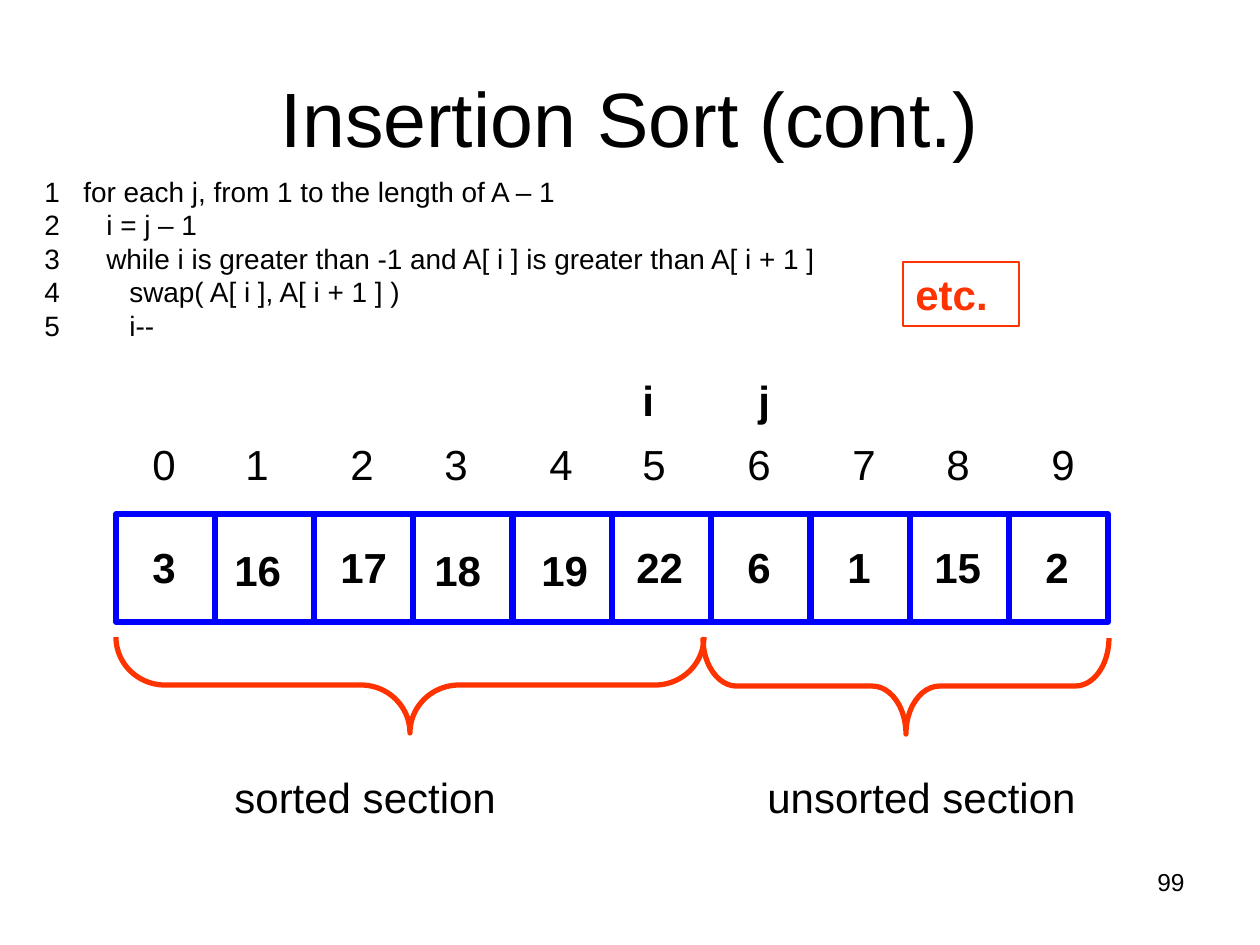
import dataclasses
import typing

import lxml.etree
import pptx
import pptx.dml.color
import pptx.enum.shapes
import pptx.enum.text
import pptx.oxml.ns
import pptx.util

SCALE = 914400 / 126  # EMU in one px
BLACK, WHITE, BLUE, RED = "000000", "FFFFFF", "0000FF", "FF3300"
Shape = pptx.enum.shapes.MSO_SHAPE
Align = pptx.enum.text.PP_ALIGN
Anchor = pptx.enum.text.MSO_ANCHOR


class Box(typing.NamedTuple):
    left: int
    top: int
    width: int
    height: int


class Line(typing.NamedTuple):
    text: str
    tabs: tuple[int, ...] = ()
    indent: int = 0


class Cell(typing.NamedTuple):
    value: str
    dx: int = 0
    dy: int = 0


@dataclasses.dataclass
class Font:
    size: int = 24
    bold: bool = False
    color: str = BLACK


class Brace(typing.NamedTuple):
    box: Box
    curve: float
    label: str
    place: Box


def emu(px: int) -> int:
    return round(px * SCALE)


def rgb(code: str) -> pptx.dml.color.RGBColor:
    return pptx.dml.color.RGBColor.from_string(code)


def write(shape, lines: list[Line], font: Font, align=Align.LEFT, anchor=Anchor.TOP) -> None:
    frame = shape.text_frame
    frame.word_wrap = True
    frame.vertical_anchor = anchor
    for n, line in enumerate(lines):
        para = frame.add_paragraph() if n else frame.paragraphs[0]
        para.alignment = align
        props = para._p.get_or_add_pPr()
        if line.indent:
            props.set("marL", str(emu(line.indent)))
            props.set("indent", "0")
        if line.tabs:
            stops = lxml.etree.SubElement(props, pptx.oxml.ns.qn("a:tabLst"))
            for stop in line.tabs:
                lxml.etree.SubElement(stops, pptx.oxml.ns.qn("a:tab"), pos=str(emu(stop)), algn="l")
        run = para.add_run()
        run.text = line.text
        run.font.name = "Arial"
        run.font.size = pptx.util.Pt(font.size)
        run.font.bold = font.bold
        run.font.color.rgb = rgb(font.color)


def label(slide, box: Box, lines: list[Line], font: Font, **place) -> None:
    write(slide.shapes.add_textbox(*map(emu, box)), lines, font, **place)


def draw(slide, kind, box: Box, color: str, weight: float, fill: str = ""):
    shape = slide.shapes.add_shape(kind, *map(emu, box))
    shape.shadow.inherit = False
    if fill:
        shape.fill.solid()
        shape.fill.fore_color.rgb = rgb(fill)
    else:
        shape.fill.background()
    shape.line.color.rgb = rgb(color)
    shape.line.width = pptx.util.Pt(weight)
    return shape


CODE = [  # nesting level and statement
    (0, "for each j, from 1 to the length of A – 1"),
    (1, "i = j – 1"),
    (1, "while i is greater than -1 and A[ i ] is greater than A[ i + 1 ]"),
    (2, "swap( A[ i ], A[ i + 1 ] )"),
    (2, "i--"),
]
STOPS = (35, 128, 233, 327, 432, 525, 630, 735, 829, 934)
CELLS = [
    Cell("3"), Cell("16", -5, 3), Cell("17", 2), Cell("18", -3, 3), Cell("19", 4, 3),
    Cell("22"), Cell("6"), Cell("1"), Cell("15"), Cell("2"),
]
LEFT, SPAN = 116, 993
BRACES = [
    Brace(Box(362, 391, 96, 588), 0.51, "sorted section", Box(222, 765, 324, 96)),
    Brace(Box(858, 483, 96, 406), 0.35, "unsorted section", Box(755, 765, 348, 96)),
]


def main() -> None:
    deck = pptx.Presentation()
    deck.slide_width, deck.slide_height = emu(1260), emu(945)
    slide = deck.slides.add_slide(deck.slide_layouts[6])
    plain, bold = Font(), Font(bold=True)

    # Page number and title
    label(slide, Box(903, 861, 294, 65), [Line("99")], Font(14), align=Align.RIGHT)
    label(slide, Box(63, 38, 1134, 157), [Line("Insertion Sort (cont.)")], Font(44),
          align=Align.CENTER, anchor=Anchor.MIDDLE)

    # Braces and their captions
    for brace in BRACES:
        shape = draw(slide, Shape.LEFT_BRACE, brace.box, RED, 3)
        shape.rotation = 270
        shape.adjustments[0] = brace.curve
        label(slide, brace.place, [Line(brace.label)], plain)

    # Pseudocode
    code = [Line(f"{n}\t{text}", (39 + 23 * level,)) for n, (level, text) in enumerate(CODE, 1)]
    label(slide, Box(32, 168, 1197, 181), code, Font(16))

    # Indices and pointers
    row = "".join(f"\t{n}" for n in range(len(CELLS)))
    label(slide, Box(105, 432, 1008, 63), [Line(row, STOPS)], plain)
    for name, left in (("i", 630), ("j", 746)):
        label(slide, Box(left, 368, 73, 63), [Line(name)], bold)

    # Array cells, then their values
    edges = [LEFT + SPAN * n // len(CELLS) for n in range(len(CELLS))]
    for edge in edges:
        draw(slide, Shape.RECTANGLE, Box(edge, 514, 99, 108), BLUE, 3, WHITE)
    for edge, cell in zip(edges, CELLS):
        indent = 12 * (3 - len(cell.value))
        label(slide, Box(edge + cell.dx, 535 + cell.dy, 125, 82),
              [Line(cell.value, indent=indent)], bold)

    # Closing note
    note = draw(slide, Shape.RECTANGLE, Box(903, 262, 116, 64), RED, 0.75)
    write(note, [Line("etc.")], Font(bold=True, color=RED))

    deck.save("out.pptx")


if __name__ == "__main__":
    main()
